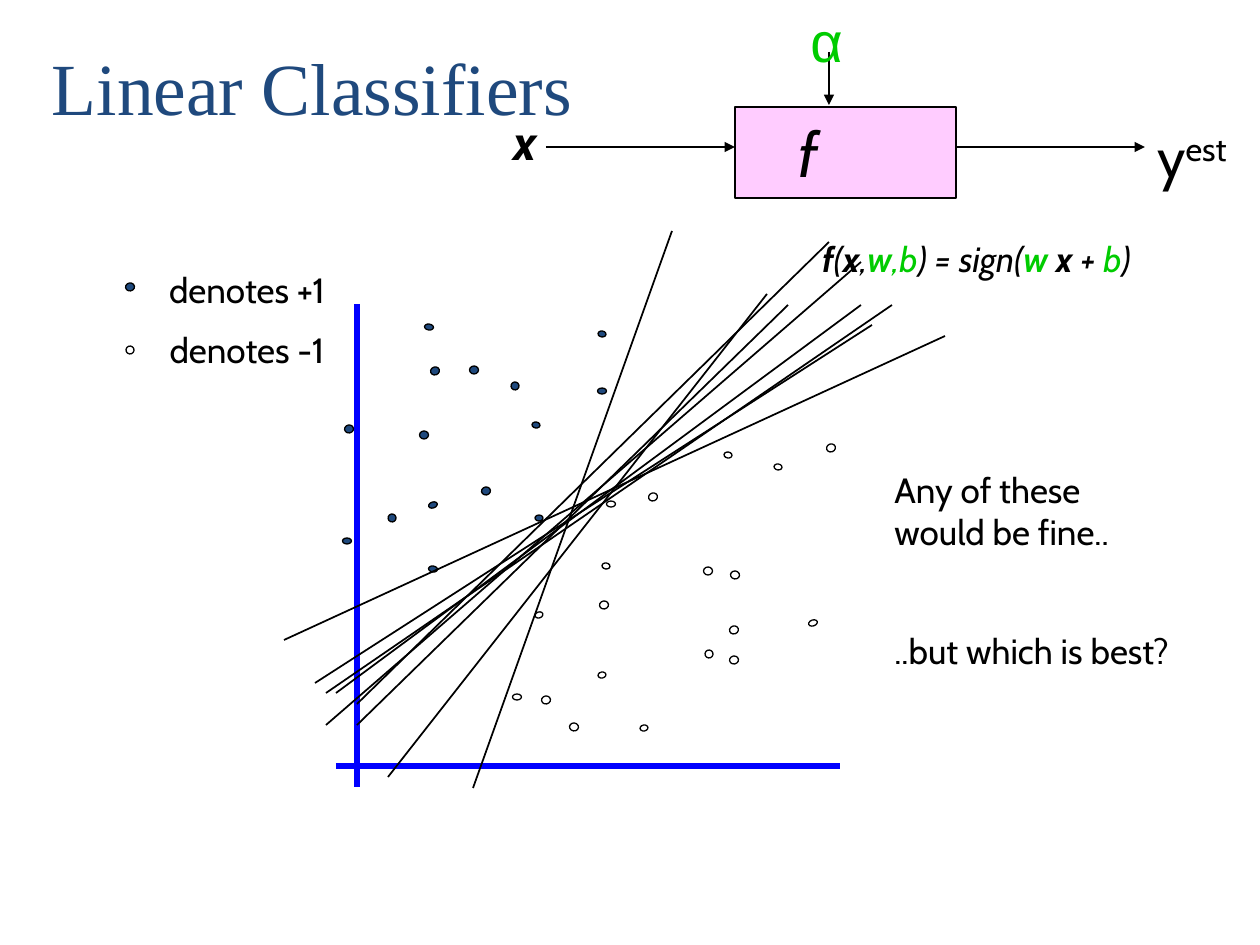
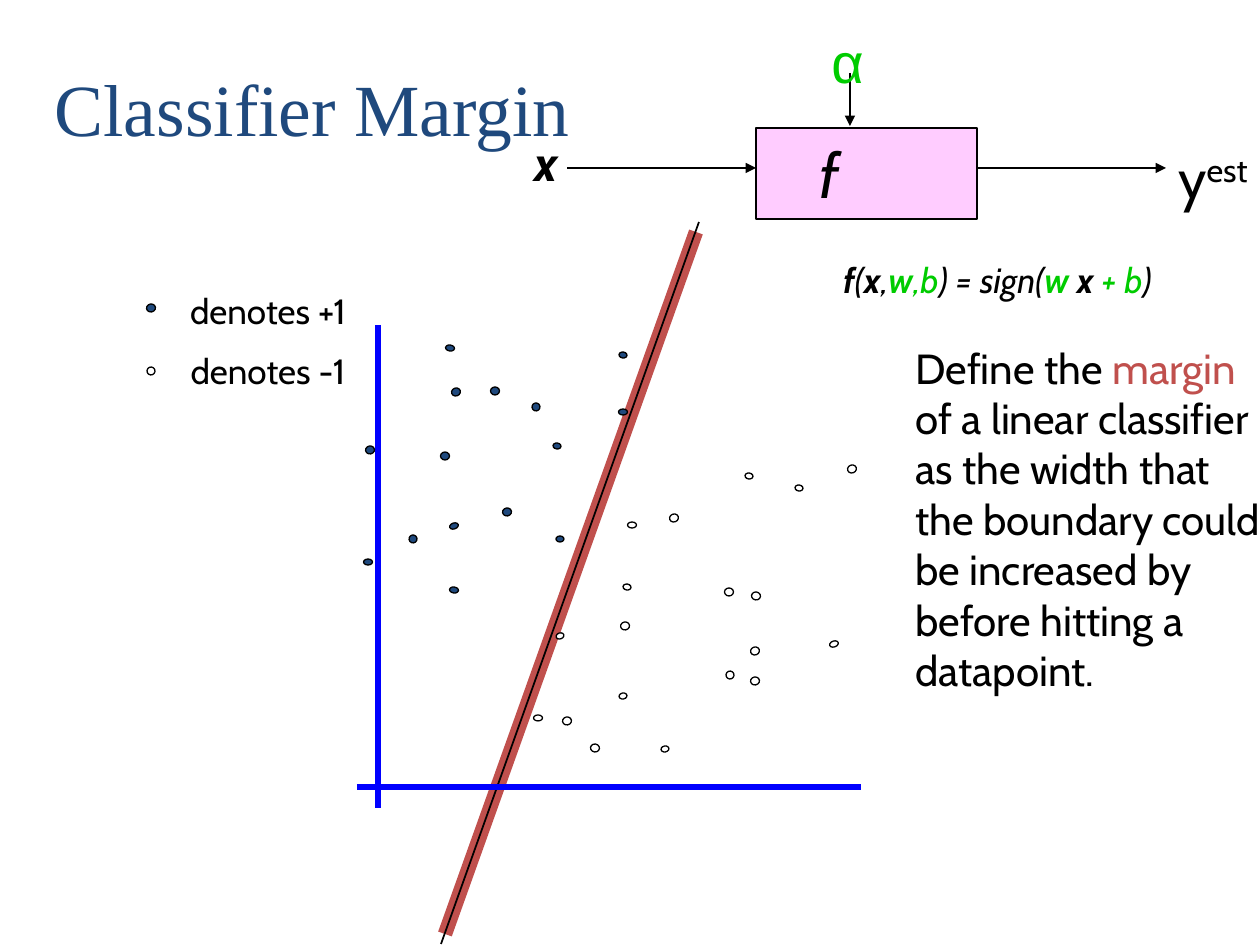
from dataclasses import dataclass
from typing import NamedTuple

from lxml.etree import SubElement
from pptx import Presentation
from pptx.dml.color import RGBColor
from pptx.enum.shapes import MSO_CONNECTOR as Connector, MSO_SHAPE as Shape
from pptx.enum.text import MSO_ANCHOR as Anchor, MSO_AUTO_SIZE as AutoSize, PP_ALIGN as Align
from pptx.oxml.ns import qn
from pptx.util import Pt

EMU_PER_PX = 914400 / 126


@dataclass(frozen=True)
class Theme:
    """Colours, fonts and type sizes shared by the slides."""
    navy: str = "1F497D"
    black: str = "000000"
    white: str = "FFFFFF"
    green: str = "00CC00"
    pink: str = "FFCCFF"
    blue: str = "0000FF"
    red: str = "C0504D"
    title_font: str = "Times New Roman"
    body_font: str = "Cabin"
    greek_font: str = "Arial"
    title_size: int = 42
    function_size: int = 36
    symbol_size: int = 32
    input_size: int = 28
    definition_size: int = 24
    text_size: int = 20
    thin: float = 1
    dot_line: float = 0.75
    axis_line: float = 3
    margin_line: float = 8.25


THEME = Theme()


class Box(NamedTuple):
    """A rectangle in px."""
    x: int
    y: int
    w: int
    h: int

    def inner(self, x, y, w, h):
        """Return a box placed relative to this one."""
        return Box(self.x + x, self.y + y, w, h)


PLOT_WIDTH, PLOT_HEIGHT = 504, 483
AXIS_X, AXIS_Y = 21, 462

# Each dot: centre x, centre y, width, height, rotation.
POSITIVE_DOTS = [
    (11, 237, 9, 6, 0), (266, 87, 9, 6, 0), (138, 66, 9, 8, 0),
    (203, 214, 8, 6, 0), (88, 131, 9, 8, 0), (99, 67, 9, 8, 341),
    (97, 201, 9, 6, 341), (200, 121, 6, 8, 98), (97, 265, 6, 9, 98),
    (266, 30, 6, 8, 98), (93, 23, 6, 9, 98), (150, 187, 8, 9, 80),
    (56, 214, 8, 8, 80), (179, 82, 8, 8, 80), (13, 125, 8, 9, 80),
]
NEGATIVE_DOTS = [
    (181, 393, 9, 6, 0), (275, 200, 9, 6, 0), (372, 267, 9, 8, 0),
    (203, 311, 8, 6, 341), (495, 144, 9, 8, 341), (398, 326, 9, 8, 341),
    (317, 193, 9, 8, 341), (477, 319, 9, 6, 341), (238, 423, 8, 9, 98),
    (399, 271, 8, 9, 98), (270, 262, 6, 8, 98), (442, 163, 6, 8, 98),
    (392, 151, 6, 8, 98), (373, 350, 8, 8, 98), (308, 424, 6, 8, 80),
    (266, 371, 6, 8, 80), (268, 301, 8, 9, 80), (210, 396, 8, 9, 80),
    (398, 356, 8, 9, 80),
]
BOUNDARIES = [
    (137, 484, 336, -73), (-21, 379, 536, 21), (21, 421, 452, 1),
    (-52, 336, 609, 32), (0, 389, 525, 1), (-10, 421, 525, -42),
    (21, 400, 493, -62), (52, 473, 431, -10), (-10, 389, 556, 1),
]
FORMULA_START = [
    ("f", dict(bold=True)), ("(", {}), ("x", dict(bold=True)), (",", {}),
    ("w", dict(bold=True, color=THEME.green)), (",b", dict(color=THEME.green)),
    (") = sign(", {}), ("w", dict(bold=True, color=THEME.green)),
]


def px(length):
    """Turn px into EMU."""
    return round(length * EMU_PER_PX)


def rgb(color):
    """Turn a hex string into a colour."""
    return RGBColor.from_string(color)


def write(para, text, size=THEME.text_size, color=THEME.black, font=THEME.body_font,
          bold=False, italic=False, baseline=0):
    """Add a formatted run to a paragraph."""
    span = para.add_run()
    span.text = text
    span.font.size = Pt(size)
    span.font.name = font
    span.font.bold = bold
    span.font.italic = italic
    span.font.color.rgb = rgb(color)
    if baseline:
        span.font._element.set("baseline", str(baseline * 1000))


def add_label(page, box, lines, align=Align.LEFT, gap=0, **style):
    """Add a text box with one paragraph for each list of (text, format) spans."""
    frame = page.shapes.add_textbox(*map(px, box)).text_frame
    frame.word_wrap = True
    for index, spans in enumerate(lines):
        para = frame.add_paragraph() if index else frame.paragraphs[0]
        para.alignment = align
        if index:
            para.space_before = px(gap)
        for text, extra in spans:
            write(para, text, **{**style, **extra})


def add_line(shapes, box, ends, color=THEME.black, weight=THEME.thin, arrow=False):
    """Draw a straight line whose ends are relative to the box."""
    x1, y1, x2, y2 = ends
    line = shapes.add_connector(Connector.STRAIGHT, px(box.x + x1), px(box.y + y1),
                                px(box.x + x2), px(box.y + y2))
    line.line.color.rgb = rgb(color)
    line.line.width = Pt(weight)
    properties = line._element.spPr
    if arrow:
        SubElement(properties.find(qn("a:ln")), qn("a:tailEnd"), type="triangle")
    SubElement(properties, qn("a:effectLst"))


def add_filled(page, kind, box, fill, weight):
    """Add a filled preset shape with a black outline."""
    shape = page.shapes.add_shape(kind, *map(px, box))
    shape.shadow.inherit = False
    shape.fill.solid()
    shape.fill.fore_color.rgb = rgb(fill)
    shape.line.color.rgb = rgb(THEME.black)
    shape.line.width = Pt(weight)
    return shape


def add_dots(page, box, dots, fill):
    """Draw data points by their centres within the box."""
    for x, y, w, h, turn in dots:
        dot = add_filled(page, Shape.OVAL, box.inner(x - w / 2, y - h / 2, w, h),
                         fill, THEME.dot_line)
        dot.rotation = turn


def add_title(page, box, text):
    """Fill and place the title placeholder."""
    title = page.shapes.title
    title.left, title.top, title.width, title.height = map(px, box)
    frame = title.text_frame
    frame.auto_size = AutoSize.NONE
    frame.vertical_anchor = Anchor.BOTTOM
    para = frame.paragraphs[0]
    para.alignment = Align.LEFT
    write(para, text, THEME.title_size, THEME.navy, THEME.title_font)


def add_classifier(page, box):
    """Draw the function box with its input, parameter and output."""
    block = add_filled(page, Shape.RECTANGLE, box.inner(252, 107, 221, 91),
                       THEME.pink, THEME.thin)
    frame = block.text_frame
    frame.margin_right = px(87)
    frame.vertical_anchor = Anchor.MIDDLE
    para = frame.paragraphs[0]
    para.alignment = Align.CENTER
    write(para, "f", THEME.function_size, italic=True)
    for ends in [(63, 147, 252, 147), (346, 52, 346, 105), (473, 147, 662, 147)]:
        add_line(page.shapes, box, ends, arrow=True)
    add_label(page, box.inner(0, 105, 84, 72), [[("x", {})]], Align.CENTER,
              size=THEME.input_size, bold=True, italic=True)
    add_label(page, box.inner(315, 0, 53, 79), [[("α", {})]], Align.CENTER,
              size=THEME.symbol_size, color=THEME.green, font=THEME.greek_font)
    add_label(page, box.inner(662, 116, 116, 79), [[("y", {}), ("est", dict(baseline=30))]],
              size=THEME.symbol_size)


def add_legend(page, box):
    """Explain the two kinds of data points."""
    add_label(page, box, [[("denotes +1", {})], [("denotes -1", {})]], Align.CENTER, gap=18)
    add_dots(page, box, [(14, 25, 8, 9, 80)], THEME.navy)
    add_dots(page, box, [(14, 88, 8, 8, 98)], THEME.white)


def add_plot(page, box):
    """Draw the axes and all data points."""
    for ends in [(AXIS_X, 0, AXIS_X, box.h), (0, AXIS_Y, box.w, AXIS_Y)]:
        add_line(page.shapes, box, ends, THEME.blue, THEME.axis_line)
    add_dots(page, box, POSITIVE_DOTS, THEME.navy)
    add_dots(page, box, NEGATIVE_DOTS, THEME.white)


def add_margin(page, box):
    """Draw a boundary widened to its margin as one group."""
    shapes = page.shapes.add_group_shape().shapes
    add_line(shapes, box, (88, 609, 339, -93), THEME.red, THEME.margin_line)
    add_line(shapes, box, (84, 619, 342, -103))


def add_page(deck, offset, title, formula_end, with_margin=False):
    """Add a slide with the shared regions and return it with its area and plot box."""
    page = deck.slides.add_slide(deck.slide_layouts[5])
    area = Box(offset, offset, 1260, 945)
    plot = area.inner(336, 304, PLOT_WIDTH, PLOT_HEIGHT)
    if with_margin:
        add_margin(page, plot)
    add_title(page, area.inner(21, 42, 640, 95), title)
    add_classifier(page, area.inner(483, 0, 778, 198))
    add_legend(page, area.inner(116, 262, 262, 117))
    add_plot(page, plot)
    add_label(page, area.inner(756, 231, 441, 54), [FORMULA_START + formula_end],
              Align.CENTER, italic=True)
    return page, area, plot


def add_classifiers_page(deck):
    """Build the slide with many possible boundaries."""
    formula_end = [(" x ", dict(bold=True)), ("+ ", {}),
                   ("b", dict(color=THEME.green)), (")", {})]
    page, area, plot = add_page(deck, 0, " Linear Classifiers", formula_end)
    for ends in BOUNDARIES:
        add_line(page.shapes, plot, ends)
    add_label(page, area.inner(882, 462, 305, 265),
              [[("Any of these would be fine..", {})], [("..but which is best?", {})]], gap=77)


def add_margin_page(deck):
    """Build the slide that defines the margin."""
    formula_end = [(" x", dict(bold=True)), (" + b", dict(color=THEME.green)), (")", {})]
    page, area, _ = add_page(deck, 21, "Classifier Margin", formula_end, with_margin=True)
    definition = [("Define the ", {}), ("margin", dict(color=THEME.red)),
                  (" of a linear classifier as the width that the boundary could be "
                   "increased by before hitting a datapoint.", {})]
    add_label(page, area.inner(882, 315, 378, 416), [definition], size=THEME.definition_size)


def main():
    """Build and save the deck."""
    deck = Presentation()
    deck.slide_width, deck.slide_height = px(1260), px(945)
    add_classifiers_page(deck)
    add_margin_page(deck)
    deck.save("out.pptx")


if __name__ == "__main__":
    main()
